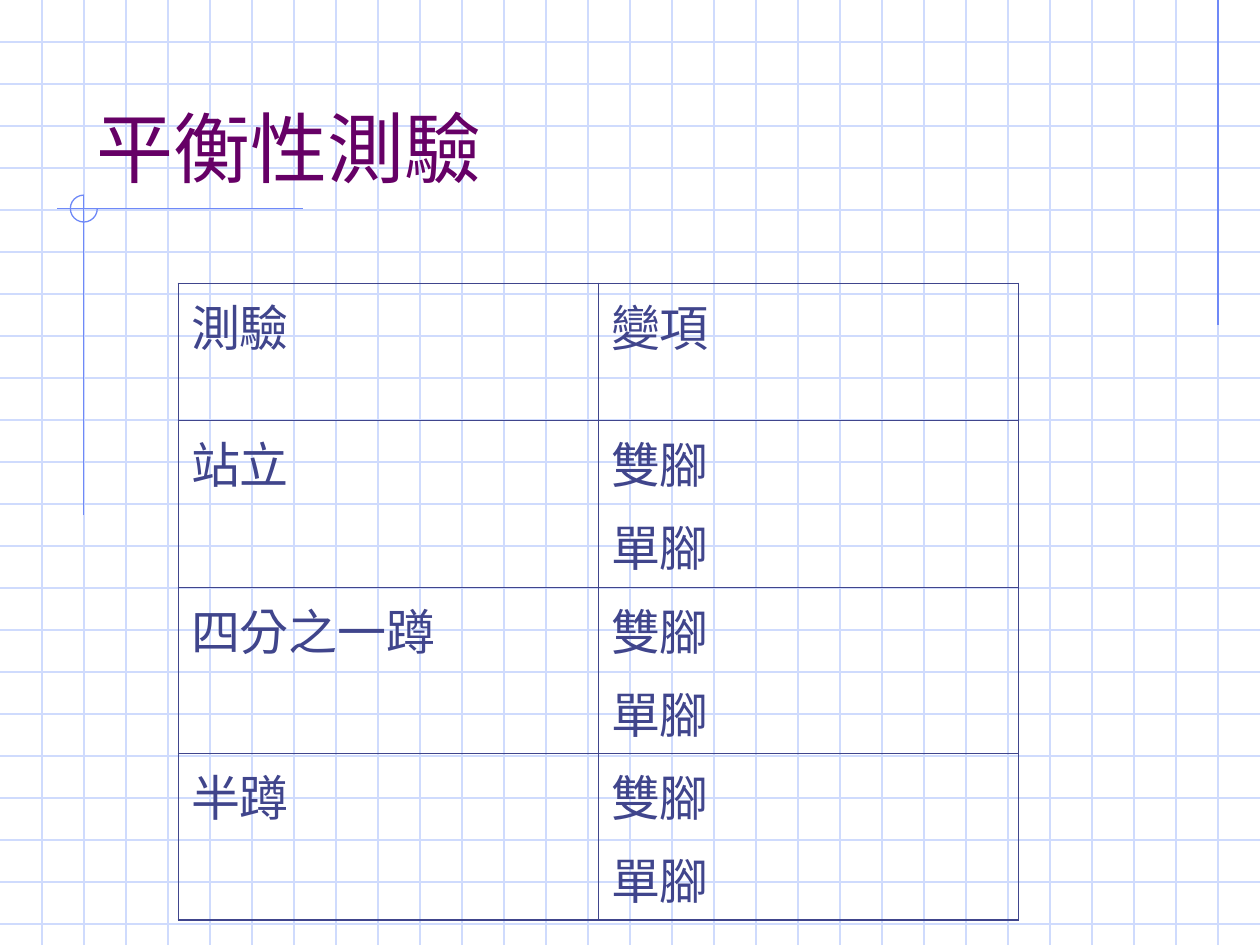
from lxml.etree import SubElement
from pptx import Presentation
from pptx.dml.color import RGBColor
from pptx.enum.lang import MSO_LANGUAGE_ID as Lang
from pptx.enum.shapes import MSO_CONNECTOR as Connector, MSO_SHAPE as Shape
from pptx.enum.text import MSO_ANCHOR as Anchor, MSO_AUTO_SIZE as AutoSize, PP_ALIGN as Align
from pptx.oxml.ns import qn
from pptx.util import Pt

# Content
TITLE = "平衡性測驗"
TESTS = [
    (["測驗"], ["變項"]),
    (["站立"], ["雙腳", "單腳"]),
    (["四分之一蹲"], ["雙腳", "單腳"]),
    (["半蹲"], ["雙腳", "單腳"]),
]

# Style
FONT = "Cabin"
GRID_COLOR = RGBColor(0xCF, 0xDB, 0xFD)
ACCENT = RGBColor(0x6F, 0x89, 0xF7)
PURPLE = RGBColor(0x66, 0x00, 0x66)
INK = RGBColor(0x40, 0x45, 0x8C)

# Layout, in points
WIDTH, HEIGHT, GRID_STEP = 720, 540, 24
ACCENT_LINES = [
    (696, 0, 696, 186),
    (173, 119.2, 32.5, 119.2),
    (47.9, 111.5, 47.9, 294.5),
]
RING = (40.2, 111.5, 15.4, 15.4)
TITLE_BOX = (48, 24, 612, 90)
TABLE_LEFT, TABLE_TOP, COLUMN_WIDTH = 102, 162, 240
ROW_HEIGHTS = [78.3, 95.2, 95.2, 95.2]
OUTER, INNER = 1.08, 0.45


def add_line(slide, ends, color):
    line = slide.shapes.add_connector(Connector.STRAIGHT, *map(Pt, ends))
    line.line.color.rgb = color
    line.line.width = Pt(0.75)
    SubElement(line.element.spPr, qn("a:effectLst"))


def add_run(paragraph, text, size, color):
    run = paragraph.add_run()
    run.text = text
    font = run.font
    font.name, font.size = FONT, Pt(size)
    font.color.rgb = color
    font.language_id = Lang.TRADITIONAL_CHINESE
    return run


def set_borders(cell, widths):
    properties = cell._tc.get_or_add_tcPr()
    for side, width in widths.items():
        border = SubElement(properties, qn(f"a:ln{side}"), w=str(Pt(width)))
        fill = SubElement(border, qn("a:solidFill"))
        SubElement(fill, qn("a:srgbClr"), val=str(INK))


def add_background(slide):
    for y in range(GRID_STEP, HEIGHT, GRID_STEP):
        add_line(slide, (0, y, WIDTH, y), GRID_COLOR)
    for x in range(GRID_STEP, WIDTH, GRID_STEP):
        add_line(slide, (x, 0, x, HEIGHT), GRID_COLOR)
    for ends in ACCENT_LINES:
        add_line(slide, ends, ACCENT)
    # Three-quarter ring, clockwise from 0 to 270 degrees
    ring = slide.shapes.add_shape(Shape.ARC, *map(Pt, RING))
    ring.adjustments[0], ring.adjustments[1] = 0, 162
    ring.shadow.inherit = False
    ring.fill.background()
    ring.line.color.rgb = ACCENT
    ring.line.width = Pt(0.75)


def add_title(slide):
    title = slide.shapes.title
    title.left, title.top, title.width, title.height = map(Pt, TITLE_BOX)
    frame = title.text_frame
    frame.auto_size = AutoSize.NONE
    frame.vertical_anchor = Anchor.BOTTOM
    frame.paragraphs[0].alignment = Align.LEFT
    run = add_run(frame.paragraphs[0], TITLE, 44, PURPLE)
    SubElement(run.font._element, qn("a:ea"), typeface=FONT)
    # Bring the title in front of the grid
    title.element.getparent().append(title.element)


def add_tests(slide):
    rows, columns = len(TESTS), len(TESTS[0])
    table = slide.shapes.add_table(
        rows, columns, Pt(TABLE_LEFT), Pt(TABLE_TOP),
        Pt(columns * COLUMN_WIDTH), Pt(sum(ROW_HEIGHTS))).table
    table.first_row = table.horz_banding = False
    for column in table.columns:
        column.width = Pt(COLUMN_WIDTH)
    for r, test in enumerate(TESTS):
        table.rows[r].height = Pt(ROW_HEIGHTS[r])
        for c, lines in enumerate(test):
            cell = table.cell(r, c)
            set_borders(cell, {
                "L": OUTER if c == 0 else INNER,
                "R": OUTER if c == columns - 1 else INNER,
                "T": OUTER if r == 0 else INNER,
                "B": OUTER if r == rows - 1 else INNER,
            })
            cell.fill.background()
            frame = cell.text_frame
            for i, text in enumerate(lines):
                paragraph = frame.add_paragraph() if i else frame.paragraphs[0]
                if i:
                    paragraph.space_before = Pt(7)
                add_run(paragraph, text, 28, INK)


def main():
    deck = Presentation()
    deck.slide_width, deck.slide_height = Pt(WIDTH), Pt(HEIGHT)
    slide = deck.slides.add_slide(deck.slide_layouts[5])
    add_background(slide)
    add_title(slide)
    add_tests(slide)
    deck.save("out.pptx")


if __name__ == "__main__":
    main()
